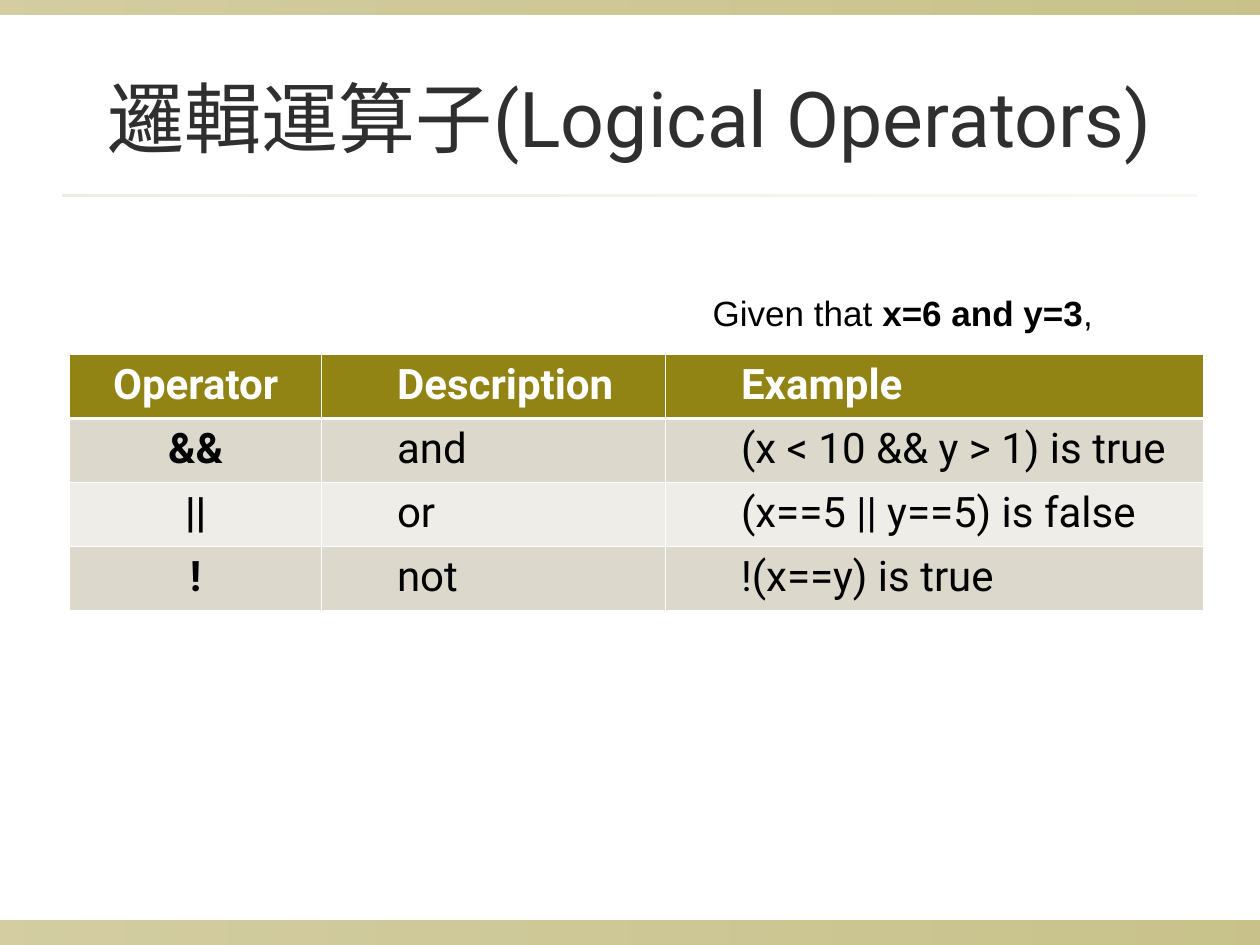
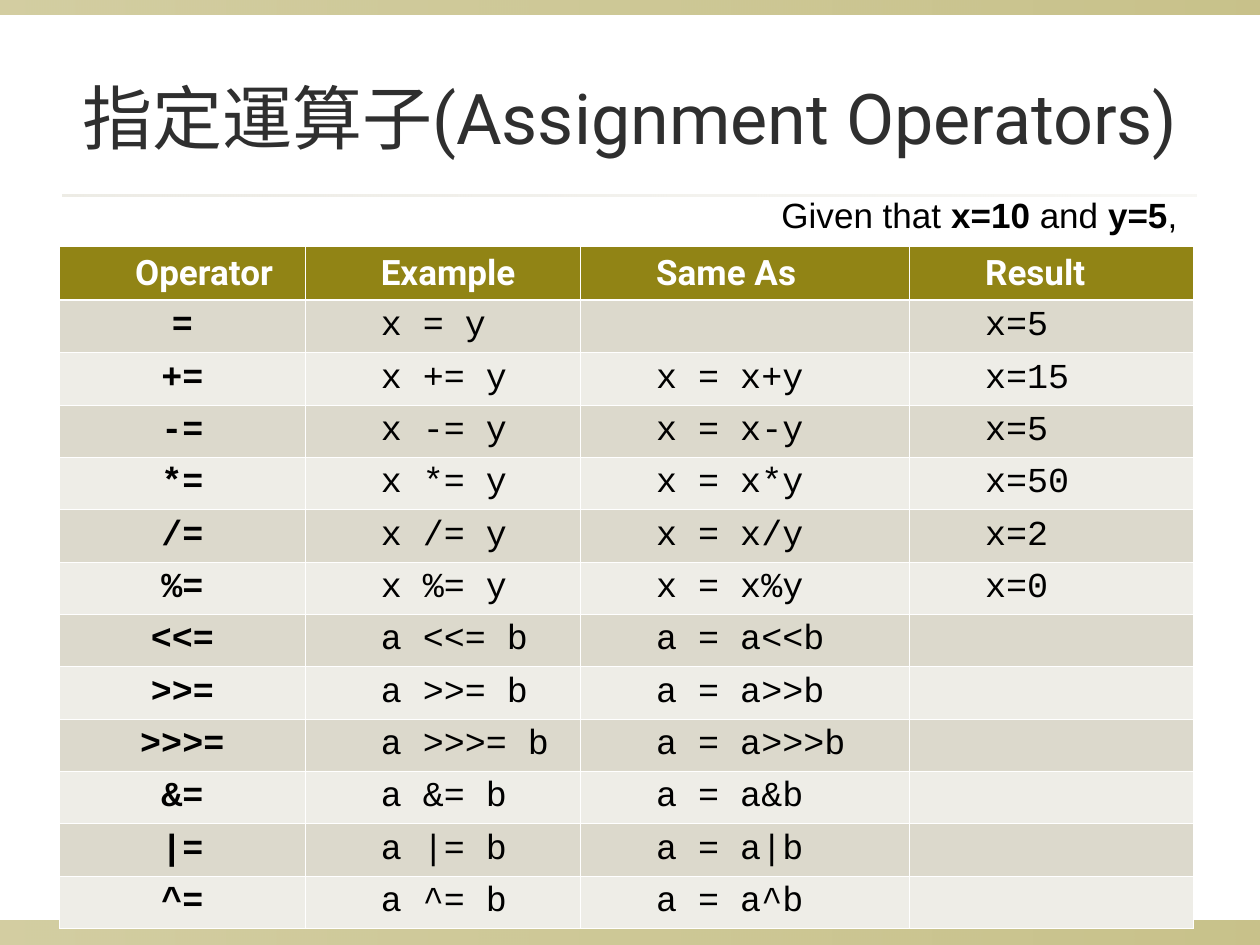
import pptx
import pptx.util
import pptx.dml.color
import pptx.enum.shapes
import pptx.enum.text
import pptx.oxml.ns
from lxml import etree

Pt = pptx.util.Pt
RGBColor = pptx.dml.color.RGBColor
Align = pptx.enum.text.PP_ALIGN
AutoSize = pptx.enum.text.MSO_AUTO_SIZE
qn = pptx.oxml.ns.qn

OLIVE = RGBColor(0x91, 0x84, 0x15)
SAND = RGBColor(0xDC, 0xD9, 0xCC)
PALE = RGBColor(0xEE, 0xED, 0xE7)
CHARCOAL = RGBColor(0x2F, 0x2F, 0x2F)
BLACK = RGBColor(0, 0, 0)
WHITE = RGBColor(0xFF, 0xFF, 0xFF)

THIN, THICK = 0.45, 1.47
INDENT = 36
EMPTY_CELL_SIZE = 18
TITLE_ONLY = 5

LOGICAL_ROWS = [
    ["Operator", "Description", "Example"],
    ["&&", "and", "(x < 10 && y > 1) is true"],
    ["||", "or", "(x==5 || y==5) is false"],
    ["!", "not", "!(x==y) is true"],
]

ASSIGNMENT_ROWS = [
    ["Operator", "Example", "Same As", "Result"],
    ["=", "x = y", "", "x=5"],
    ["+=", "x += y", "x = x+y", "x=15"],
    ["-=", "x -= y", "x = x-y", "x=5"],
    ["*=", "x *= y", "x = x*y", "x=50"],
    ["/=", "x /= y", "x = x/y", "x=2"],
    ["%=", "x %= y", "x = x%y", "x=0"],
    ["<<=", "a <<= b", "a = a<<b", ""],
    [">>=", "a >>= b", "a = a>>b", ""],
    [">>>=", "a >>>= b", "a = a>>>b", ""],
    ["&=", "a &= b", "a = a&b", ""],
    ["|=", "a |= b", "a = a|b", ""],
    ["^=", "a ^= b", "a = a^b", ""],
]


def write_text(para, text, font="Roboto", size=20, color=BLACK, bold=False, align=None):
    if align is not None:
        para.alignment = align
    span = para.add_run()
    span.text = text
    span.font.name = font
    span.font.size = Pt(size)
    span.font.color.rgb = color
    span.font.bold = bold


def add_band(page, number, left, top, width, height, color, opacities):
    band = page.shapes.add_shape(
        pptx.enum.shapes.MSO_SHAPE.RECTANGLE, Pt(left), Pt(top), Pt(width), Pt(height))
    band.shadow.inherit = False
    band.line.fill.background()
    band.fill.gradient()
    band.fill.gradient_angle = 0
    for stop, position in zip(band.fill.gradient_stops, (0, 1)):
        stop.position = position
        stop.color.rgb = color
    for tint, opacity in zip(band.element.iter(qn("a:srgbClr")), opacities):
        etree.SubElement(tint, qn("a:alpha"), val=str(opacity * 1000))
    next(band.element.iter(qn("p:cNvPr"))).set("id", str(100 + number))
    page.slide_layout.shapes.element.insert(2 + number, band.element)


def add_shared_bands(page):
    bands = [
        (0, 525.8, 720, 14.2, OLIVE, (40, 50)),
        (0, 0, 720, 8.4, OLIVE, (40, 50)),
        (36, 110.9, 648, 1.44, SAND, (50, 20)),
    ]
    for number, band in enumerate(bands):
        add_band(page, number, *band)


def add_page(deck, title, size):
    page = deck.slides.add_slide(deck.slide_layouts[TITLE_ONLY])
    box = page.shapes.title
    box.left, box.top, box.width, box.height = Pt(36), Pt(21.6), Pt(648), Pt(90)
    frame = box.text_frame
    frame.auto_size = AutoSize.NONE
    frame.vertical_anchor = pptx.enum.text.MSO_ANCHOR.MIDDLE
    write_text(frame.paragraphs[0], title, size=size, color=CHARCOAL, align=Align.CENTER)
    return page


def add_premise(page, left, top, width, pieces):
    box = page.shapes.add_textbox(Pt(left), Pt(top), Pt(width), Pt(31.5))
    box.text_frame.word_wrap = False
    box.text_frame.auto_size = AutoSize.SHAPE_TO_FIT_TEXT
    for index, piece in enumerate(pieces):
        write_text(box.text_frame.paragraphs[0], piece, font="Arial", bold=index % 2 == 1)


def set_borders(cell, top, bottom):
    properties = cell._tc.get_or_add_tcPr()
    for side, width in (("L", THIN), ("R", THIN), ("T", top), ("B", bottom)):
        line = etree.SubElement(properties, qn("a:ln" + side), w=str(Pt(width)))
        fill = etree.SubElement(line, qn("a:solidFill"))
        etree.SubElement(fill, qn("a:srgbClr"), val=str(WHITE))


def fill_cell(cell, text, row, centered, font, size):
    set_borders(cell, THICK if row == 1 else THIN, THICK if row == 0 else THIN)
    cell.fill.solid()
    cell.fill.fore_color.rgb = OLIVE if row == 0 else SAND if row % 2 else PALE
    para = cell.text_frame.paragraphs[0]
    if not text:
        para.font.name = font
        para.font.size = Pt(EMPTY_CELL_SIZE)
        return
    if not centered:
        para.level = 1
        properties = para._p.get_or_add_pPr()
        properties.set("marL", str(Pt(INDENT)))
        properties.set("indent", "0")
    write_text(para, text, font="Roboto" if row == 0 else font, size=size,
               color=WHITE if row == 0 else BLACK, bold=row == 0 or centered,
               align=Align.CENTER if centered else Align.LEFT)


def add_operator_table(page, rows, left, top, widths, row_height, font, size, center_header):
    table = page.shapes.add_table(
        len(rows), len(widths), Pt(left), Pt(top),
        Pt(sum(widths)), Pt(row_height * len(rows))).table
    table.horz_banding = False
    for column, width in zip(table.columns, widths):
        column.width = Pt(width)
    for row, texts in enumerate(rows):
        table.rows[row].height = Pt(row_height)
        for column, text in enumerate(texts):
            centered = column == 0 and (row > 0 or center_header)
            fill_cell(table.cell(row, column), text, row, centered, font, size)


def main():
    deck = pptx.Presentation()
    deck.slide_width, deck.slide_height = Pt(720), Pt(540)

    logical = add_page(deck, "邏輯運算子(Logical Operators)", 44)
    add_shared_bands(logical)
    add_operator_table(logical, LOGICAL_ROWS, 39.9, 202.6, [143.8, 196.6, 307.4], 36.5,
                       "Roboto", 24, center_header=True)
    add_premise(logical, 400.2, 163.2, 233, ["Given that ", "x=6 and y=3", ","])

    assignment = add_page(deck, "指定運算子(Assignment Operators)", 40)
    add_operator_table(assignment, ASSIGNMENT_ROWS, 34, 140.8, [140.4, 157.4, 188, 162.2], 28.5,
                       "Courier New", 20, center_header=False)
    add_premise(assignment, 439.5, 106.9, 241,
                ["Given that ", "x=10", " and ", "y=5", ","])

    deck.save("out.pptx")


if __name__ == "__main__":
    main()
